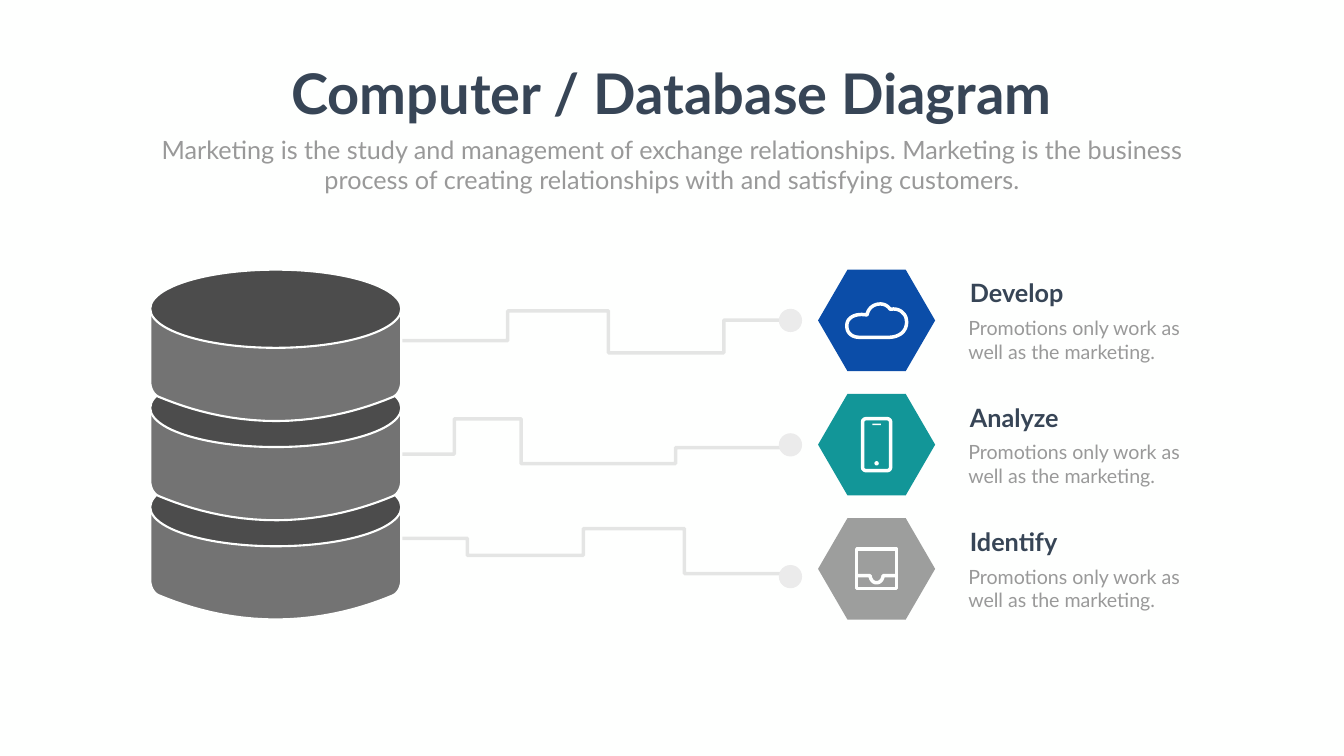
from lxml import etree
from pptx import Presentation
from pptx import util as u
from pptx.dml.color import RGBColor
from pptx.enum import shapes, text
from pptx.oxml.ns import qn

# Content
TITLE = "Computer / Database Diagram"
INTRO = ("Marketing is the study and management of exchange relationships. "
         "Marketing is the business process of creating relationships with "
         "and satisfying customers.")
NOTE = "Promotions only work as well as the marketing."
STEPS = [("Develop", "0B4DA8"), ("Analyze", "129698"), ("Identify", "9D9E9D")]
# Each wire: first height, then (x, new height) steps, then height of its dot
WIRES = [
    (17.17, [(25.58, 15.67), (30.66, 17.78), (36.47, 16.13)], 16.15),
    (22.89, [(22.89, 21.11), (26.26, 23.37), (34.04, 22.56)], 22.42),
    (27.13, [(23.55, 27.99), (29.39, 26.64), (34.49, 28.91)], 29.06),
]
# Outlines: a pair is a corner, three pairs are a Bezier curve
DRUM = [
    (12.65, 3.5),
    ((12.65, 3.88), (12.47, 4.22), (12.19, 4.32)),
    ((10.8, 4.9), (8.81, 5.5), (6.4, 5.52)),
    ((3.91, 5.53), (1.88, 4.9), (0.48, 4.32)),
    ((0.18, 4.22), (0, 3.88), (0, 3.5)),
    (0, 0), (12.65, 0),
]
CLOUD = [
    (0.61, 0.85), (-0.86, 0.85),
    ((-1.12, 0.85), (-1.33, 0.75), (-1.44, 0.55)),
    ((-1.52, 0.38), (-1.52, 0.17), (-1.44, 0.01)),
    ((-1.28, -0.24), (-0.99, -0.3), (-0.74, -0.3)),
    (-0.48, -0.28),
    ((-0.43, -0.61), (-0.15, -0.83), (0.18, -0.83)),
    ((0.39, -0.83), (0.56, -0.74), (0.69, -0.56)),
    ((0.91, -0.61), (1.19, -0.55), (1.33, -0.37)),
    ((1.47, -0.25), (1.51, -0.08), (1.51, 0.1)),
    ((1.51, 0.29), (1.44, 0.47), (1.3, 0.61)),
    ((1.14, 0.76), (0.89, 0.85), (0.61, 0.85)),
]
SHELF = [
    (-1, 0.34), (-0.33, 0.34),
    ((-0.3, 0.58), (-0.15, 0.7), (0, 0.7)),
    ((0.15, 0.7), (0.3, 0.58), (0.33, 0.34)),
    (1, 0.34),
]
WHITE, DARK, GREY, DOT = "FEFFFE", "374556", "999999", "EBEBEB"
SIDE, LID, WIRE = "737373", "4C4C4C", "808080"
KIND = shapes.MSO_SHAPE

# Grid, in cm
TOP = 13.59
DB_X, DB_W, LID_H, DB_GAP = 7.57, 12.65, 3.94, 5.0
HEX_X, HEX_W, HEX_H, HEX_GAP = 41.22, 5.9, 5.12, 6.26
DOT_X, DOT_D = 39.83, 1.17

deck = Presentation()
deck.slide_width, deck.slide_height = u.Cm(67.72), u.Cm(38.1)
slide = deck.slides.add_slide(deck.slide_layouts[6])


def tint(code):
    return RGBColor.from_string(code)


def style(shape, fill=None, line=None, width=0):
    shape.shadow.inherit = False
    if fill:
        shape.fill.solid()
        shape.fill.fore_color.rgb = tint(fill)
    else:
        shape.fill.background()
    if line:
        shape.line.color.rgb = tint(line)
        shape.line.width = u.Pt(width)
    else:
        shape.line.fill.background()
    return shape


def put(kind, x, y, w, h, *look):
    shape = slide.shapes.add_shape(kind, u.Cm(x), u.Cm(y), u.Cm(w), u.Cm(h))
    return style(shape, *look)


def mid(kind, x, y, w, h, *look):
    return put(kind, x - w / 2, y - h / 2, w, h, *look)


def trace(path):
    dots = []
    for part in path:
        if len(part) == 2:
            dots.append(part)
            continue
        a, (b, c, d) = dots[-1], part
        for n in range(1, 13):
            t = n / 12
            s = 1 - t
            dots.append(tuple(s**3 * a[k] + 3 * s * s * t * b[k]
                              + 3 * s * t * t * c[k] + t**3 * d[k]
                              for k in (0, 1)))
    return dots


def draw(path, x, y, close, *look):
    dots = [(u.Cm(x + a), u.Cm(y + b)) for a, b in trace(path)]
    pen = slide.shapes.build_freeform(*dots[0])
    pen.add_line_segments(dots[1:], close=close)
    return style(pen.convert_to_shape(), *look)


def write(words, x, y, w, h, size, color, bold=False, center=False, wrap=True):
    box = slide.shapes.add_textbox(u.Cm(x), u.Cm(y), u.Cm(w), u.Cm(h))
    frame = box.text_frame
    frame.text = words
    frame.word_wrap = wrap
    para = frame.paragraphs[0]
    if center:
        para.alignment = text.PP_ALIGN.CENTER
    font = para.runs[0].font
    font.name, font.size, font.bold = "Lato", u.Pt(size), bold
    font.color.rgb = tint(color)


def cloud(x, y):
    draw(CLOUD, x, y, True, None, WHITE, 5)


def phone(x, y):
    case = mid(KIND.ROUNDED_RECTANGLE, x, y, 1.42, 2.62, None, WHITE, 5)
    case.adjustments[0] = 0.12
    mid(KIND.ROUNDED_RECTANGLE, x, y - 1.02, 0.43, 0.08, WHITE)
    mid(KIND.OVAL, x, y + 0.94, 0.22, 0.22, WHITE)


def tray(x, y):
    mid(KIND.RECTANGLE, x, y, 2, 2, None, WHITE, 5)
    draw(SHELF, x, y, False, None, WHITE, 5)


# Background and headings
slide.background.fill.solid()
slide.background.fill.fore_color.rgb = tint(WHITE)
write(TITLE, 14.22, 2.84, 39.24, 3.68, 80, DARK, True, True, False)
write(INTRO, 7.42, 6.63, 52.88, 3.33, 36, GREY, center=True)

# Wires and their dots
for y, turns, end in WIRES:
    path = [(DB_X + DB_W, y)]
    for x, new in turns:
        path += [(x, y), (x, new)]
        y = new
    wire = draw(path + [(DOT_X, y)], 0, 0, False, None, WIRE, 5)
    color = wire._element.xpath(".//a:ln//a:srgbClr")[0]
    etree.SubElement(color, qn("a:alpha")).set("val", "20000")
    mid(KIND.OVAL, DOT_X, end, DOT_D, DOT_D, DOT)

# Database, lowest drum first
for i in (2, 1, 0):
    y = TOP + i * DB_GAP
    draw(DRUM, DB_X, y + 2.11, True, SIDE, WHITE, 3)
    put(KIND.OVAL, DB_X, y, DB_W, LID_H, LID, WHITE, 3)

# Steps
for i, ((name, color), icon) in enumerate(zip(STEPS, (cloud, phone, tray))):
    y = TOP + i * HEX_GAP
    tile = put(KIND.HEXAGON, HEX_X, y, HEX_W, HEX_H, color)
    tile.adjustments[0] = 0.29
    icon(HEX_X + HEX_W / 2, y + HEX_H / 2)
    write(name, 48.62, y + 0.28, 6.63, 1.8, 36, DARK, True)
    write(NOTE, 48.54, y + 2.21, 11.61, 2.64, 28, GREY)

deck.save("out.pptx")
